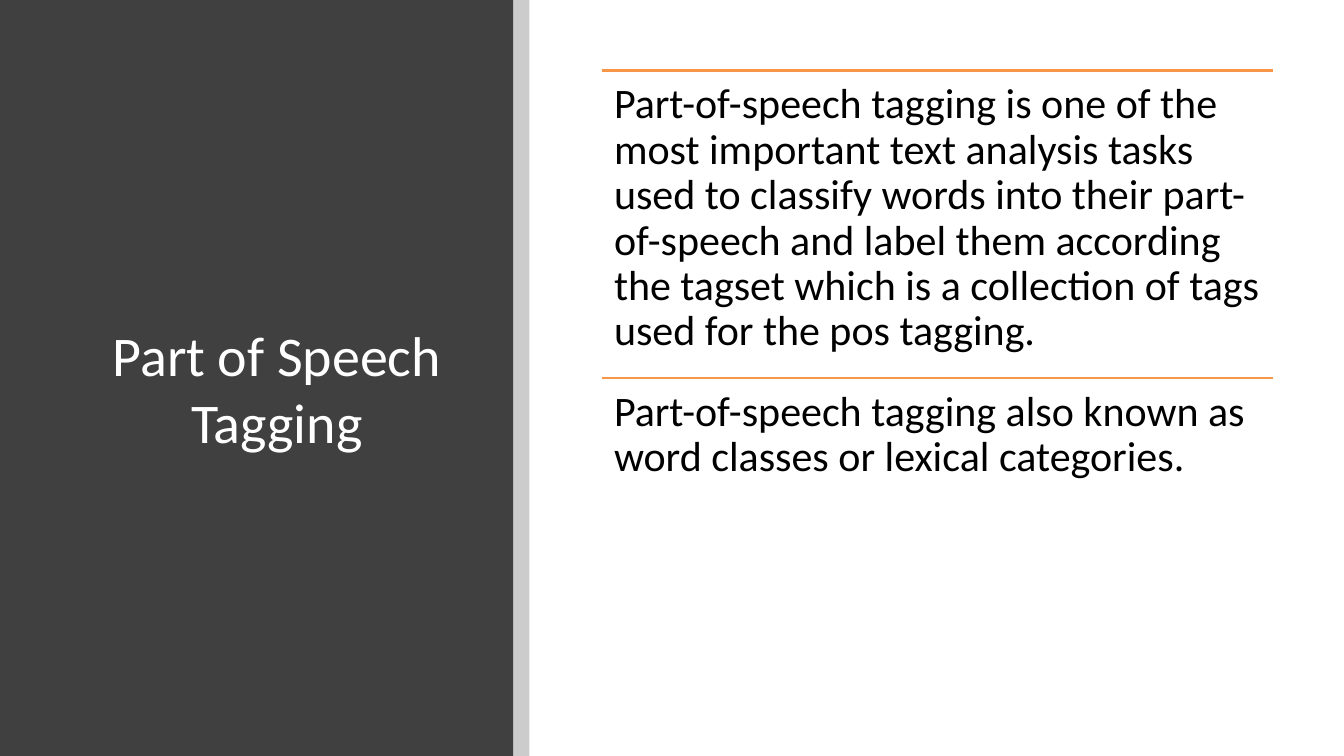
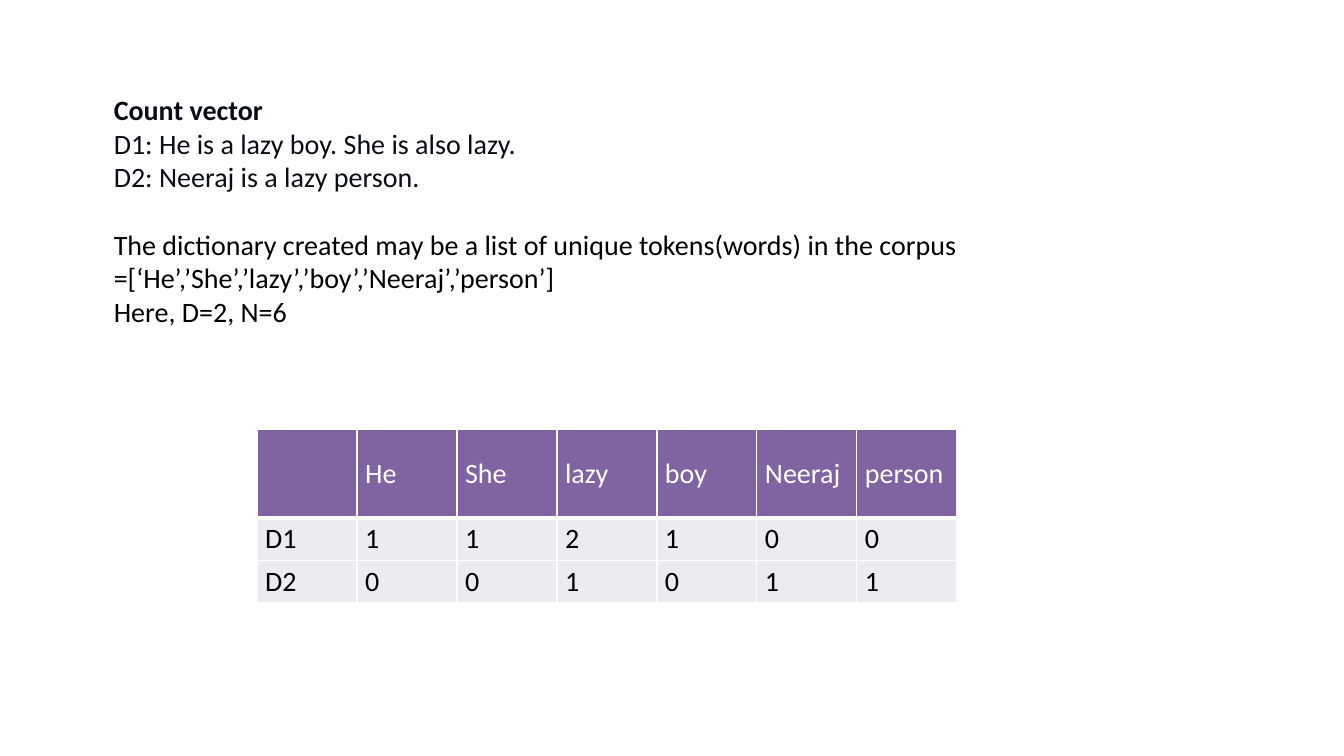
from lxml import etree
from pptx import Presentation
from pptx import util as u
from pptx.dml.color import RGBColor
from pptx.enum import shapes, text
from pptx.oxml import ns

WIDTH, HEIGHT = 13.33, 7.5
FONT = "Calibri"
COLORS = {
    "panel": "404040", "black": "000000", "white": "FFFFFF", "rule": "F79646",
    "ink": "080E14", "header": "8064A2", "body": "EDEAF0",
}

TITLE = "Part of Speech Tagging"
STATEMENTS = [
    "Part-of-speech tagging is one of the most important text analysis tasks used to classify "
    "words into their part-of-speech and label them according the tagset which is a collection "
    "of tags used for the pos tagging.",
    "Part-of-speech tagging also known as word classes or lexical categories.",
]
EXAMPLE = [
    ("Count vector", "ink", {"bold": True}, {}),
    ("D1: He is a lazy boy. She is also lazy.", "ink", {}, {}),
    ("D2: Neeraj is a lazy person.", "ink", {}, {}),
    ("The dictionary created may be a list of unique tokens(words) in the corpus "
     "=[‘He’,’She’,’lazy’,’boy’,’Neeraj’,’person’]", "black", {}, {"space_before": u.Pt(24)}),
    ("Here, D=2, N=6", "black", {}, {}),
]
COUNTS = [
    ["", "He", "She", "lazy", "boy", "Neeraj", "person"],
    ["D1", "1", "1", "2", "1", "0", "0"],
    ["D2", "0", "0", "1", "0", "1", "1"],
]

PANEL_WIDTH, BAND_WIDTH = 5.09, 0.16
TITLE_BOX = (0.92, 0.89, 3.65, 5.91)
STATEMENT_LEFT, STATEMENT_TOP, STATEMENT_WIDTH, STATEMENT_HEIGHT = 5.97, 0.7, 6.66, 3.05
EXAMPLE_BOX = (1.03, 0.87, 9.51, 2.79)
TABLE_LEFT, TABLE_TOP, TABLE_WIDTH = 2.55, 4.26, 6.94
ROW_HEIGHTS = [0.88, 0.42, 0.42]


def color(name):
    return RGBColor.from_string(COLORS[name])


def inches(values):
    return [u.Inches(value) for value in values]


def apply(target, formats):
    for name, value in formats.items():
        setattr(target, name, value)


def write(paragraph, words, size, color_name, font_format={}, paragraph_format={}):
    apply(paragraph, paragraph_format)
    run = paragraph.add_run()
    run.text = words
    apply(run.font, {"name": FONT, "size": u.Pt(size), **font_format})
    run.font.color.rgb = color(color_name)


def add_text_frame(slide, box, inset=None, anchor=text.MSO_ANCHOR.TOP):
    frame = slide.shapes.add_textbox(*inches(box)).text_frame
    apply(frame, {"word_wrap": True, "vertical_anchor": anchor})
    if inset is not None:
        sides = ("left", "top", "right", "bottom")
        apply(frame, {f"margin_{side}": u.Inches(inset) for side in sides})
    return frame


def add_panel(slide, left, width, color_name, opacity=100):
    panel = slide.shapes.add_shape(
        shapes.MSO_SHAPE.RECTANGLE, *inches((left, 0, width, HEIGHT)))
    panel.shadow.inherit = False
    panel.fill.solid()
    panel.fill.fore_color.rgb = color(color_name)
    panel.line.fill.background()
    if opacity < 100:
        fill_color = next(panel.element.spPr.iter(ns.qn("a:srgbClr")))
        etree.SubElement(fill_color, ns.qn("a:alpha"), val=str(opacity * 1000))


def add_rule(slide, left, top, width):
    rule = slide.shapes.add_connector(
        shapes.MSO_CONNECTOR.STRAIGHT, *inches((left, top, left + width, top)))
    rule.line.color.rgb = color("rule")
    rule.line.width = u.Pt(2)
    etree.SubElement(rule.element.spPr, ns.qn("a:effectLst"))


def set_borders(cell, widths):
    properties = cell._tc.get_or_add_tcPr()
    for position, (side, width) in enumerate(widths.items()):
        border = etree.Element(ns.qn(f"a:ln{side}"), w=str(u.Pt(width)))
        fill = etree.SubElement(border, ns.qn("a:solidFill"))
        etree.SubElement(fill, ns.qn("a:srgbClr"), val=COLORS["white"])
        properties.insert(position, border)


def add_count_table(slide):
    table = slide.shapes.add_table(
        len(COUNTS), len(COUNTS[0]),
        *inches((TABLE_LEFT, TABLE_TOP, TABLE_WIDTH, sum(ROW_HEIGHTS)))).table
    for row, height in zip(table.rows, ROW_HEIGHTS):
        row.height = u.Inches(height)
    for row_index, row in enumerate(COUNTS):
        is_header = row_index == 0
        for column_index, words in enumerate(row):
            cell = table.cell(row_index, column_index)
            cell.fill.solid()
            cell.fill.fore_color.rgb = color("header" if is_header else "body")
            apply(cell, {
                "vertical_anchor": text.MSO_ANCHOR.MIDDLE,
                "margin_left": u.Inches(0.08), "margin_right": u.Inches(0.08),
                "margin_top": u.Inches(0.04), "margin_bottom": u.Inches(0.04),
            })
            set_borders(cell, {"L": 1, "R": 1, "T": 1, "B": 3 if is_header else 1})
            if words:
                write(cell.text_frame.paragraphs[0], words, 20,
                      "white" if is_header else "black")


def build_tagging_slide(slide):
    add_panel(slide, 0, PANEL_WIDTH, "panel")
    add_panel(slide, PANEL_WIDTH, BAND_WIDTH, "black", opacity=20)
    title = add_text_frame(slide, TITLE_BOX, anchor=text.MSO_ANCHOR.MIDDLE)
    write(title.paragraphs[0], TITLE, 40, "white",
          paragraph_format={"alignment": text.PP_ALIGN.CENTER})
    for index, statement in enumerate(STATEMENTS):
        top = STATEMENT_TOP + index * STATEMENT_HEIGHT
        add_rule(slide, STATEMENT_LEFT, top, STATEMENT_WIDTH)
        frame = add_text_frame(
            slide, (STATEMENT_LEFT, top, STATEMENT_WIDTH, STATEMENT_HEIGHT), inset=0.12)
        write(frame.paragraphs[0], statement, 30, "black",
              paragraph_format={"line_spacing": 0.9})


def build_count_slide(slide):
    frame = add_text_frame(slide, EXAMPLE_BOX)
    for index, (words, color_name, font_format, paragraph_format) in enumerate(EXAMPLE):
        paragraph = frame.add_paragraph() if index else frame.paragraphs[0]
        write(paragraph, words, 20, color_name, font_format, paragraph_format)
    add_count_table(slide)


def main():
    presentation = Presentation()
    apply(presentation, {"slide_width": u.Inches(WIDTH), "slide_height": u.Inches(HEIGHT)})
    blank = presentation.slide_layouts[6]
    for build in (build_tagging_slide, build_count_slide):
        build(presentation.slides.add_slide(blank))
    presentation.save("out.pptx")


if __name__ == "__main__":
    main()
